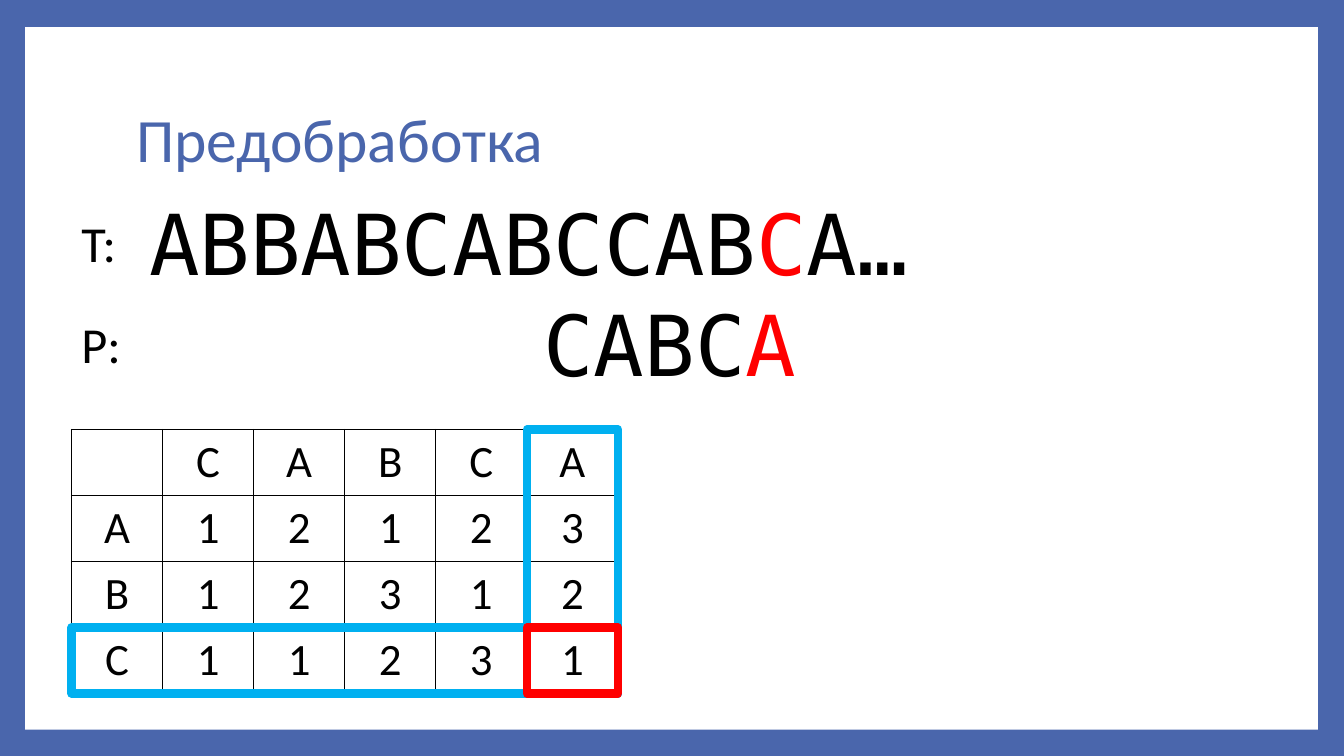
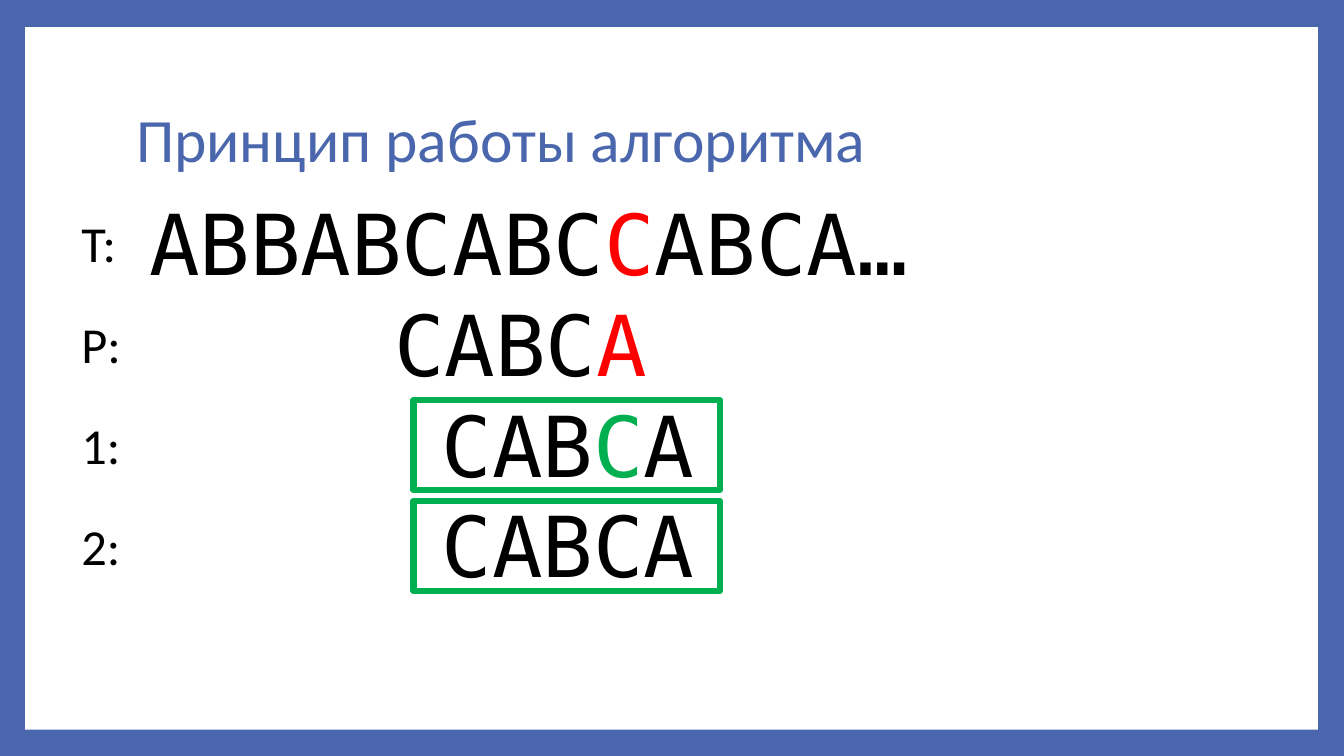
from typing import NamedTuple

from lxml.etree import SubElement
from pptx import Presentation
from pptx.dml.color import RGBColor
from pptx.enum.shapes import MSO_SHAPE as Shape
from pptx.enum.text import MSO_ANCHOR as Anchor, PP_ALIGN as Align
from pptx.oxml.ns import qn
from pptx.util import Inches, Pt

# Shared look
BLUE, WHITE, BLACK = "4A66AC", "FFFFFF", "000000"
RED, GREEN, CYAN = "FF0000", "00B050", "00B0F0"
SANS, MONO = "Calibri", "DejaVu Sans Mono"

# Rows of text: top of the first one, and the step to the next
TOP, STEP = 1.85, 1.0
LEFT = 0.71

# Table grid: one mark for each cell
GRID = [" CABCA", "A12123", "B12312", "C11231"]
GRID_TOP, WIDE, TALL = 4.26, 5.42, 2.62
COL, ROW = WIDE / len(GRID[0]), TALL / len(GRID)


class Bit(NamedTuple):
    text: str
    color: str = BLACK


class Line(NamedTuple):
    label: str
    left: float
    bits: list[Bit]


class Box(NamedTuple):
    left: float
    top: float
    width: float
    height: float
    color: str
    weight: float


def paint(hue: str) -> RGBColor:
    return RGBColor.from_string(hue)


def add_run(para, bit: Bit, size: float, face: str) -> None:
    run = para.add_run()
    run.text = bit.text
    run.font.size, run.font.name = Pt(size), face
    run.font.color.rgb = paint(bit.color)


def add_text(slide, left: float, top: float, width: float, height: float,
             bits: list[Bit], size: float, face: str) -> None:
    box = slide.shapes.add_textbox(*map(Inches, (left, top, width, height)))
    box.text_frame.word_wrap = True
    for bit in bits:
        add_run(box.text_frame.paragraphs[0], bit, size, face)


def add_lines(slide, lines: list[Line]) -> None:
    for i, line in enumerate(lines):
        top = TOP + i * STEP
        width = 11.95 if i == 0 else 5.61
        add_text(slide, line.left, top, width, 1.11, line.bits, 60, MONO)
        add_text(slide, LEFT, top + 0.21, 0.67, 0.71, [Bit(line.label)], 36, SANS)


def add_box(slide, box: Box) -> None:
    shape = slide.shapes.add_shape(Shape.RECTANGLE, *map(Inches, box[:4]))
    shape.shadow.inherit = False
    shape.fill.background()
    shape.line.color.rgb = paint(box.color)
    shape.line.width = Pt(box.weight)


def add_edges(cell) -> None:
    props = cell._tc.get_or_add_tcPr()
    for i, side in enumerate(("lnL", "lnR", "lnT", "lnB")):
        edge = props.makeelement(qn(f"a:{side}"), {"w": str(Pt(1))})
        fill = SubElement(edge, qn("a:solidFill"))
        SubElement(fill, qn("a:srgbClr"), val=BLACK)
        props.insert(i, edge)  # edges go before the fill


def add_grid(slide) -> None:
    spot = map(Inches, (LEFT, GRID_TOP, WIDE, TALL))
    table = slide.shapes.add_table(len(GRID), len(GRID[0]), *spot).table
    table.first_row = table.horz_banding = False
    for r, marks in enumerate(GRID):
        for c, mark in enumerate(marks):
            cell = table.cell(r, c)
            cell.fill.background()
            add_edges(cell)
            if mark.strip():
                para = cell.text_frame.paragraphs[0]
                para.alignment = Align.CENTER
                add_run(para, Bit(mark), 32, SANS)


def add_slide(deck, layout, title: str):
    slide = deck.slides.add_slide(layout)
    frame = slide.shapes.title.text_frame
    frame.vertical_anchor = Anchor.MIDDLE
    para = frame.paragraphs[0]
    para.alignment, para.line_spacing = Align.LEFT, 0.9
    add_run(para, Bit(title, BLUE), 44, SANS)
    return slide


def set_layout(layout, slide) -> None:
    """Give the layout its blue ground, white panel and title place."""
    fill = layout.background.fill
    fill.solid()
    fill.fore_color.rgb = paint(BLUE)
    title = layout.placeholders[0]
    title.left, title.top = Inches(1.25), Inches(0.67)
    title.width, title.height = Inches(10.8), Inches(1.48)
    # A layout cannot add shapes, so the panel is made on a slide and moved
    spot = map(Inches, (0.25, 0.27, 12.82, 6.97))
    panel = slide.shapes.add_shape(Shape.RECTANGLE, *spot)
    panel.shadow.inherit = False
    panel.fill.solid()
    panel.fill.fore_color.rgb = paint(WHITE)
    panel.line.fill.background()
    panel.element.nvSpPr.cNvPr.set("id", "20")
    layout.shapes.element.insert(2, panel.element)


def main() -> None:
    deck = Presentation()
    deck.slide_width, deck.slide_height = Inches(13.33), Inches(7.5)
    layout = deck.slide_layouts[5]

    # Slide 1: the table of shifts
    slide = add_slide(deck, layout, "Предобработка")
    set_layout(layout, slide)
    add_lines(slide, [
        Line("T:", 1.38, [Bit("ABBABCABCCAB"), Bit("C", RED), Bit("A…")]),
        Line("P:", 5.29, [Bit("CABC"), Bit("A", RED)]),
    ])
    add_grid(slide)
    last_x, last_y = LEFT + WIDE - COL, GRID_TOP + TALL - ROW
    for box in (
        Box(last_x, GRID_TOP, COL, TALL, CYAN, 6),
        Box(LEFT, last_y, WIDE, ROW, CYAN, 6),
        Box(last_x, last_y, COL, ROW, RED, 6),
    ):
        add_box(slide, box)

    # Slide 2: the two shift rules
    slide = add_slide(deck, layout, "Принцип работы алгоритма")
    add_lines(slide, [
        Line("T:", 1.38, [Bit("ABBABCABC"), Bit("C", RED), Bit("ABCA…")]),
        Line("P:", 3.81, [Bit("CABC"), Bit("A", RED)]),
        Line("1:", 4.28, [Bit("CAB"), Bit("C", GREEN), Bit("A")]),
        Line("2:", 4.28, [Bit("CABCA")]),
    ])
    for i in (2, 3):
        add_box(slide, Box(4.1, TOP + i * STEP + 0.12, 3.04, 0.89, GREEN, 4.5))

    deck.save("out.pptx")


if __name__ == "__main__":
    main()
